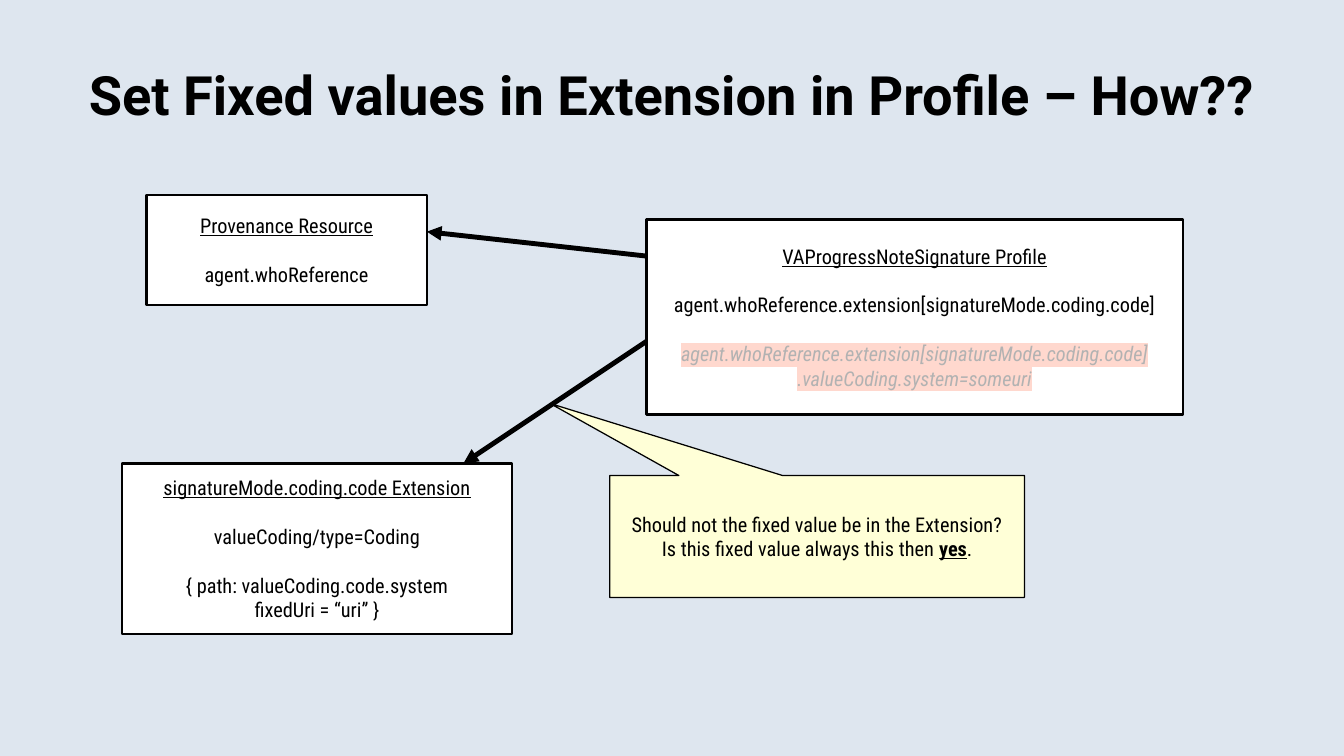
from lxml.etree import SubElement
from pptx import Presentation
from pptx.dml.color import RGBColor
from pptx.enum.shapes import MSO_CONNECTOR as CONN, MSO_SHAPE as SHAPE
from pptx.enum.text import MSO_ANCHOR as ANCHOR, PP_ALIGN as ALIGN
from pptx.oxml.ns import qn
from pptx.util import Inches, Pt

SIZE = (11.02, 6.2)
BACKGROUND, WHITE, BLACK, NOTE_FILL = "DEE6EF", "FFFFFF", "000000", "FFFFD7"
FADED, HIGHLIGHT = "B2B2B2", "FFD8CE"
TITLE_FONT, BODY_FONT = "Roboto", "Roboto Condensed"
BODY_SIZE, GAP = 12, 14.4

TITLE = ("Set Fixed values in Extension in Profile – How??", (0.55, 0.25, 9.92, 1.04))

# Each box: place, then blocks of lines; the first block is the heading.
BOXES = [
    ((1.2, 1.6, 2.3, 0.9), [["Provenance Resource"], ["agent.whoReference"]], False),
    ((1, 3.8, 3.2, 1.4), [
        ["signatureMode.coding.code Extension"],
        ["valueCoding/type=Coding"],
        ["{ path: valueCoding.code.system", "fixedUri = “uri” }"],
    ], False),
    ((5.3, 1.8, 4.4, 1.6), [
        ["VAProgressNoteSignature Profile"],
        ["agent.whoReference.extension[signatureMode.coding.code]"],
        ["agent.whoReference.extension[signatureMode.coding.code]",
         ".valueCoding.system=someuri"],
    ], True),
]
ARROWS = [((5.3, 2.1), (3.5, 1.9)), ((5.3, 2.8), (3.8, 3.8))]
NOTE_PLACE, NOTE_POINTER = (5, 3.9, 3.4, 1), (-0.644, -1.091)
NOTE_LINES = [
    [("Should not the fixed value be in the Extension?", False)],
    [("Is this fixed value always this then ", False), ("yes", True), (".", False)],
]


def color(hex_color):
    return RGBColor.from_string(hex_color)


def add_panel(s, kind, place, fill, width, insets):
    sp = s.shapes.add_shape(kind, *map(Inches, place))
    sp.shadow.inherit = False
    sp.fill.solid()
    sp.fill.fore_color.rgb = color(fill)
    sp.line.color.rgb = color(BLACK)
    sp.line.width = Pt(width)
    set_frame(sp.text_frame, *insets)
    return sp


def set_frame(tf, side, edge):
    tf.margin_left = tf.margin_right = Inches(side)
    tf.margin_top = tf.margin_bottom = Inches(edge)
    tf.vertical_anchor = ANCHOR.MIDDLE
    tf.word_wrap = True


def add_line(tf, first, font=BODY_FONT, size=BODY_SIZE, ink=BLACK):
    p = tf.paragraphs[0] if first else tf.add_paragraph()
    p.alignment = ALIGN.CENTER
    p.font.name, p.font.size = font, Pt(size)
    p.font.color.rgb = color(ink)
    return p


def add_run(p, text):
    r = p.add_run()
    r.text = text
    return r


def add_box(s, place, blocks, fade_last):
    tf = add_panel(s, SHAPE.RECTANGLE, place, WHITE, 1.45, (0.11, 0.06)).text_frame
    tf.word_wrap = False
    for b, block in enumerate(blocks):
        faded = fade_last and b == len(blocks) - 1
        for i, text in enumerate(block):
            p = add_line(tf, b == i == 0, ink=FADED if faded else BLACK)
            p.font.underline = b == 0
            p.font.italic = faded
            p.space_before = Pt(GAP if b and i == 0 else 0)
            r = add_run(p, text)
            if faded:
                mark = SubElement(r.font._element, qn("a:highlight"))
                SubElement(mark, qn("a:srgbClr"), val=HIGHLIGHT)


def add_arrow(s, start, end):
    line = s.shapes.add_connector(CONN.STRAIGHT, *map(Inches, start + end))
    line.line.color.rgb = color(BLACK)
    line.line.width = Pt(2.89)
    SubElement(line.line._get_or_add_ln(), qn("a:tailEnd"), type="triangle")
    SubElement(line._element.spPr, qn("a:effectLst"))


def add_note(s):
    sp = add_panel(s, SHAPE.RECTANGULAR_CALLOUT, NOTE_PLACE, NOTE_FILL, 0, (0.1, 0.05))
    sp.adjustments[0], sp.adjustments[1] = NOTE_POINTER
    for i, parts in enumerate(NOTE_LINES):
        p = add_line(sp.text_frame, i == 0)
        for text, strong in parts:
            r = add_run(p, text)
            if strong:
                r.font.bold = r.font.underline = True


def add_title(s, text, place):
    tf = s.shapes.add_textbox(*map(Inches, place)).text_frame
    set_frame(tf, 0, 0)
    p = add_line(tf, True, TITLE_FONT, 32)
    p.font.bold = True
    add_run(p, text)


def main():
    """Build the slide on fixed values in an extension."""
    prs = Presentation()
    prs.slide_width, prs.slide_height = map(Inches, SIZE)
    s = prs.slides.add_slide(prs.slide_layouts[6])
    s.background.fill.solid()
    s.background.fill.fore_color.rgb = color(BACKGROUND)
    for box in BOXES:
        add_box(s, *box)
    add_title(s, *TITLE)
    for arrow in ARROWS:
        add_arrow(s, *arrow)
    add_note(s)
    prs.save("out.pptx")


if __name__ == "__main__":
    main()
